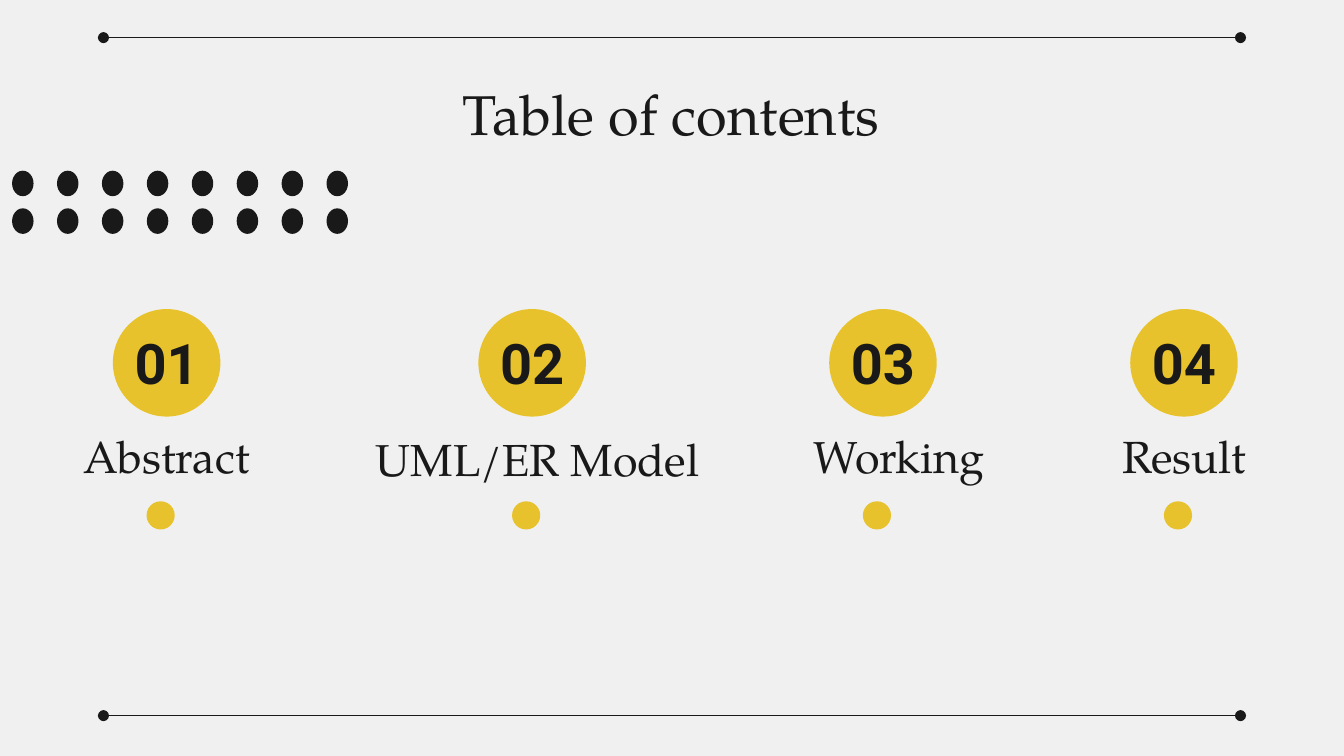
from itertools import product

from lxml.etree import SubElement
from pptx import Presentation
from pptx.dml.color import RGBColor
from pptx.enum.shapes import MSO_CONNECTOR, MSO_SHAPE
from pptx.enum.text import MSO_ANCHOR, PP_ALIGN
from pptx.oxml.ns import qn
from pptx.util import Inches, Pt

WIDTH = 10
HEIGHT = WIDTH * 9 / 16
INK, YELLOW, PAPER = "191919", "E7C22C", "F0F0F0"
SERIF, SANS = "TeX Gyre Pagella", "Roboto"

TITLE = "Table of contents"
TITLE_BOX = (0.78, 0.49, 8.43, 0.63)
SECTIONS = [
    {"number": "01", "label": "Abstract", "left": 0.84, "label_box": (0.05, 3.11, 2.38)},
    {"number": "02", "label": "UML/ER Model", "left": 3.56, "label_box": (2.6, 3.13, 2.8)},
    {"number": "03", "label": "Working", "left": 6.17, "label_box": (5.29, 3.11, 2.8)},
    {"number": "04", "label": "Result", "left": 8.41, "label_box": (7.62, 3.11, 2.38)},
]
CIRCLE_TOP, CIRCLE_SIZE = 2.3, 0.8
NUMBER_TOP, NUMBER_HEIGHT = 2.45, 0.49
LABEL_HEIGHT = 0.58
MARKER_OFFSET, MARKER_TOP, MARKER_SIZE = 0.25, 3.73, 0.21

RULE_MARGIN, RULE_TOP = 0.77, 0.28
RULE_TOPS = (RULE_TOP, HEIGHT - RULE_TOP - 0.02)

DOT_COLUMNS, DOT_ROWS = 8, 2
DOT_LEFT, DOT_LAST_LEFT, DOT_TOP = 0.09, 2.43, 1.27
DOT_STEP_X, DOT_STEP_Y = (DOT_LAST_LEFT - DOT_LEFT) / (DOT_COLUMNS - 1), 0.28
DOT_WIDTH, DOT_HEIGHT = 0.16, 0.19


def color(hex_string):
    return RGBColor.from_string(hex_string)


def add_ellipse(shapes, left, top, width, height, fill):
    shape = shapes.add_shape(
        MSO_SHAPE.OVAL, Inches(left), Inches(top), Inches(width), Inches(height)
    )
    shape.shadow.inherit = False
    shape.fill.solid()
    shape.fill.fore_color.rgb = color(fill)
    shape.line.fill.background()


def add_text(shapes, text, left, top, width, height, size, font, anchor, bold=False):
    box = shapes.add_textbox(Inches(left), Inches(top), Inches(width), Inches(height))
    text_frame = box.text_frame
    text_frame.word_wrap = True
    text_frame.vertical_anchor = anchor
    text_frame.margin_left = text_frame.margin_right = Inches(0.1)
    text_frame.margin_top = text_frame.margin_bottom = Inches(0.1)
    text_frame.text = text
    paragraph = text_frame.paragraphs[0]
    paragraph.alignment = PP_ALIGN.CENTER
    run_font = paragraph.runs[0].font
    run_font.name, run_font.size, run_font.bold = font, Pt(size), bold
    run_font.color.rgb = color(INK)


def add_rule(shapes, top):
    rule = shapes.add_connector(
        MSO_CONNECTOR.STRAIGHT,
        Inches(RULE_MARGIN), Inches(top), Inches(WIDTH - RULE_MARGIN), Inches(top),
    )
    rule.line.color.rgb = color(INK)
    rule.line.width = Pt(0.75)
    line = rule.line._get_or_add_ln()
    for end in ("a:headEnd", "a:tailEnd"):
        SubElement(line, qn(end), type="oval")
    SubElement(rule._element.spPr, qn("a:effectLst"))


def main():
    presentation = Presentation()
    presentation.slide_width = Inches(WIDTH)
    presentation.slide_height = Inches(HEIGHT)
    slide = presentation.slides.add_slide(presentation.slide_layouts[6])
    slide.background.fill.solid()
    slide.background.fill.fore_color.rgb = color(PAPER)
    shapes = slide.shapes

    add_text(shapes, TITLE, *TITLE_BOX, 30, SERIF, MSO_ANCHOR.TOP)
    for top in RULE_TOPS:
        add_rule(shapes, top)

    dots = shapes.add_group_shape().shapes
    for column, row in product(range(DOT_COLUMNS), range(DOT_ROWS)):
        add_ellipse(dots, DOT_LEFT + column * DOT_STEP_X, DOT_TOP + row * DOT_STEP_Y,
                    DOT_WIDTH, DOT_HEIGHT, INK)

    for section in SECTIONS:
        left = section["left"]
        add_ellipse(shapes, left, CIRCLE_TOP, CIRCLE_SIZE, CIRCLE_SIZE, YELLOW)
        add_text(shapes, section["number"], left, NUMBER_TOP, CIRCLE_SIZE, NUMBER_HEIGHT,
                 30, SANS, MSO_ANCHOR.MIDDLE, bold=True)
        add_text(shapes, section["label"], *section["label_box"], LABEL_HEIGHT,
                 24, SERIF, MSO_ANCHOR.BOTTOM)
        add_ellipse(shapes, left + MARKER_OFFSET, MARKER_TOP,
                    MARKER_SIZE, MARKER_SIZE, YELLOW)

    presentation.save("out.pptx")


if __name__ == "__main__":
    main()
